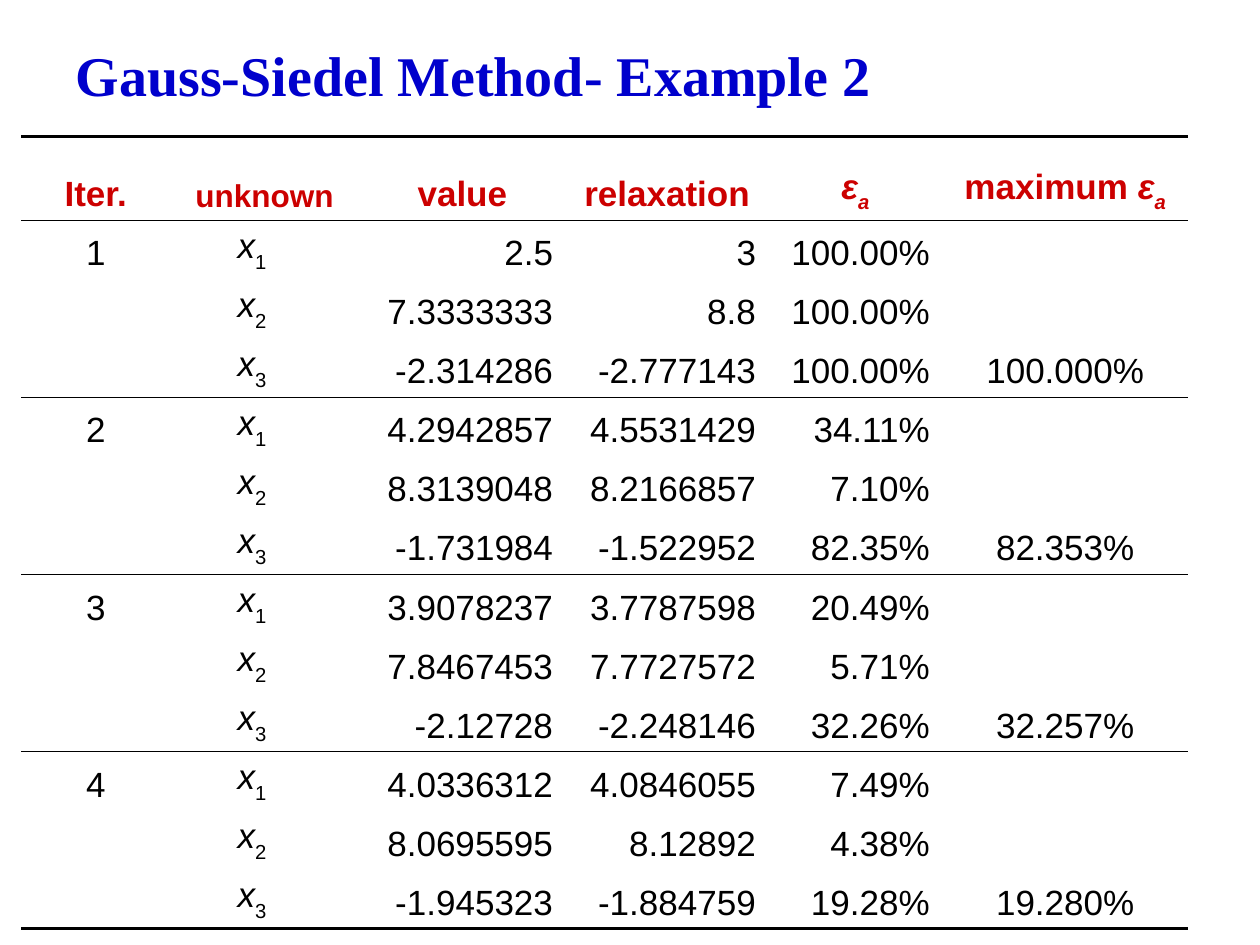
from lxml import etree
from pptx import Presentation
from pptx.dml.color import RGBColor
from pptx.enum.text import MSO_ANCHOR, MSO_AUTO_SIZE, PP_ALIGN
from pptx.oxml.ns import qn
from pptx.util import Inches, Pt

LEFT, CENTER, RIGHT = PP_ALIGN.LEFT, PP_ALIGN.CENTER, PP_ALIGN.RIGHT
BOTTOM = MSO_ANCHOR.BOTTOM
NO_AUTOFIT = MSO_AUTO_SIZE.NONE
NO_STYLE = "{2D5ABB26-0587-4C30-8999-92F81FD0307C}"

COLORS = {"title": "0000CC", "header": "CC0000", "body": "000000", "rule": "000000"}

COLUMN_WIDTHS = [1.18, 1.3, 0.2, 1.64, 1.61, 1.38, 1.95]
HEADER_HEIGHT, ROW_HEIGHT = 0.67, 0.43
HEADER_COLUMNS = [0, 1, 3, 4, 5, 6]
BODY_COLUMNS = [0, 1, 2, 4, 5, 6]
BODY_ALIGNMENTS = [CENTER, CENTER, RIGHT, RIGHT, RIGHT, CENTER]

EPSILON = [("ε", "italic"), ("a", "italic sub")]
HEADINGS = [
    [("Iter.", "")],
    [("unknown", "")],
    [("value", "")],
    [("relaxation", "")],
    EPSILON,
    [("maximum ", "")] + EPSILON,
]

ITERATIONS = [
    ([("2.5", "3", "100.00%"),
      ("7.3333333", "8.8", "100.00%"),
      ("-2.314286", "-2.777143", "100.00%")], "100.000%"),
    ([("4.2942857", "4.5531429", "34.11%"),
      ("8.3139048", "8.2166857", "7.10%"),
      ("-1.731984", "-1.522952", "82.35%")], "82.353%"),
    ([("3.9078237", "3.7787598", "20.49%"),
      ("7.8467453", "7.7727572", "5.71%"),
      ("-2.12728", "-2.248146", "32.26%")], "32.257%"),
    ([("4.0336312", "4.0846055", "7.49%"),
      ("8.0695595", "8.12892", "4.38%"),
      ("-1.945323", "-1.884759", "19.28%")], "19.280%"),
]


class Deck:
    title_font = "Times New Roman"
    table_font = "Arial"

    def __init__(self):
        self.presentation = Presentation()
        self.presentation.slide_width = Inches(10)
        self.presentation.slide_height = Inches(7.5)
        self.slide = self.presentation.slides.add_slide(self.presentation.slide_layouts[5])

    def run(self, paragraph, text, font_name, size, color, bold=False, style=""):
        run = paragraph.add_run()
        run.text = text
        font = run.font
        font.name, font.size, font.bold = font_name, Pt(size), bold
        font.italic = "italic" in style
        font.color.rgb = RGBColor.from_string(COLORS[color])
        if "sub" in style:
            run._r.get_or_add_rPr().set("baseline", "-30000")

    def title(self, text, left, top, width, height):
        heading = self.slide.shapes.title
        heading.left, heading.top = Inches(left), Inches(top)
        heading.width, heading.height = Inches(width), Inches(height)
        frame = heading.text_frame
        frame.word_wrap = True
        frame.auto_size = NO_AUTOFIT
        frame.vertical_anchor = BOTTOM
        paragraph = frame.paragraphs[0]
        paragraph.alignment = LEFT
        paragraph.line_spacing = 0.9
        self.run(paragraph, text, self.title_font, 32, "title", bold=True)

    def table(self, left, top, widths, heights):
        frame = self.slide.shapes.add_table(
            len(heights), len(widths), Inches(left), Inches(top),
            Inches(sum(widths)), Inches(sum(heights)))
        table = frame.table
        table.first_row = table.horz_banding = False
        table._tbl.tblPr.find(qn("a:tableStyleId")).text = NO_STYLE
        for column, width in zip(table.columns, widths):
            column.width = Inches(width)
        for row, height in zip(table.rows, heights):
            row.height = Inches(height)
        for cell in table.iter_cells():
            cell.fill.background()
            cell.vertical_anchor = BOTTOM
        return table

    def cell(self, cell, pieces, alignment, size=20, color="body", bold=False):
        paragraph = cell.text_frame.paragraphs[0]
        paragraph.alignment = alignment
        properties = paragraph._p.get_or_add_pPr()
        properties.set("marL", str(Inches(0.38)))
        properties.set("indent", str(Inches(-0.38)))
        for text, style in pieces:
            self.run(paragraph, text, self.table_font, size, color, bold, style)

    def rule(self, row, **edges):
        for cell in row.cells:
            properties = cell._tc.get_or_add_tcPr()
            for position, (edge, width) in enumerate(edges.items()):
                line = etree.Element(qn("a:ln" + edge), w=str(Pt(width)))
                fill = etree.SubElement(line, qn("a:solidFill"))
                etree.SubElement(fill, qn("a:srgbClr"), val=COLORS["rule"])
                properties.insert(position, line)


def main():
    deck = Deck()
    deck.title("Gauss-Siedel Method- Example 2", 0.5, 0.13, 8.25, 0.78)

    heights = [HEADER_HEIGHT] + [ROW_HEIGHT] * (3 * len(ITERATIONS))
    results = deck.table(0.17, 1.08, COLUMN_WIDTHS, heights)
    results.cell(0, 1).merge(results.cell(0, 2))
    for column, heading in zip(HEADER_COLUMNS, HEADINGS):
        size = 18 if column == 1 else 20
        deck.cell(results.cell(0, column), heading, CENTER, size, "header", bold=True)
    deck.rule(results.rows[0], T=2, B=1)

    row = 0
    for iteration, (estimates, maximum) in enumerate(ITERATIONS, 1):
        for unknown, estimate in enumerate(estimates, 1):
            row += 1
            results.cell(row, 2).merge(results.cell(row, 3))
            first, last = unknown == 1, unknown == len(estimates)
            contents = [
                [(str(iteration), "")] if first else [],
                [("x", "italic"), (str(unknown), "sub")],
                *[[(number, "")] for number in estimate],
                [(maximum, "")] if last else [],
            ]
            for column, pieces, alignment in zip(BODY_COLUMNS, contents, BODY_ALIGNMENTS):
                deck.cell(results.cell(row, column), pieces, alignment)
        deck.rule(results.rows[row], B=2 if iteration == len(ITERATIONS) else 1)

    deck.presentation.save("out.pptx")


if __name__ == "__main__":
    main()
